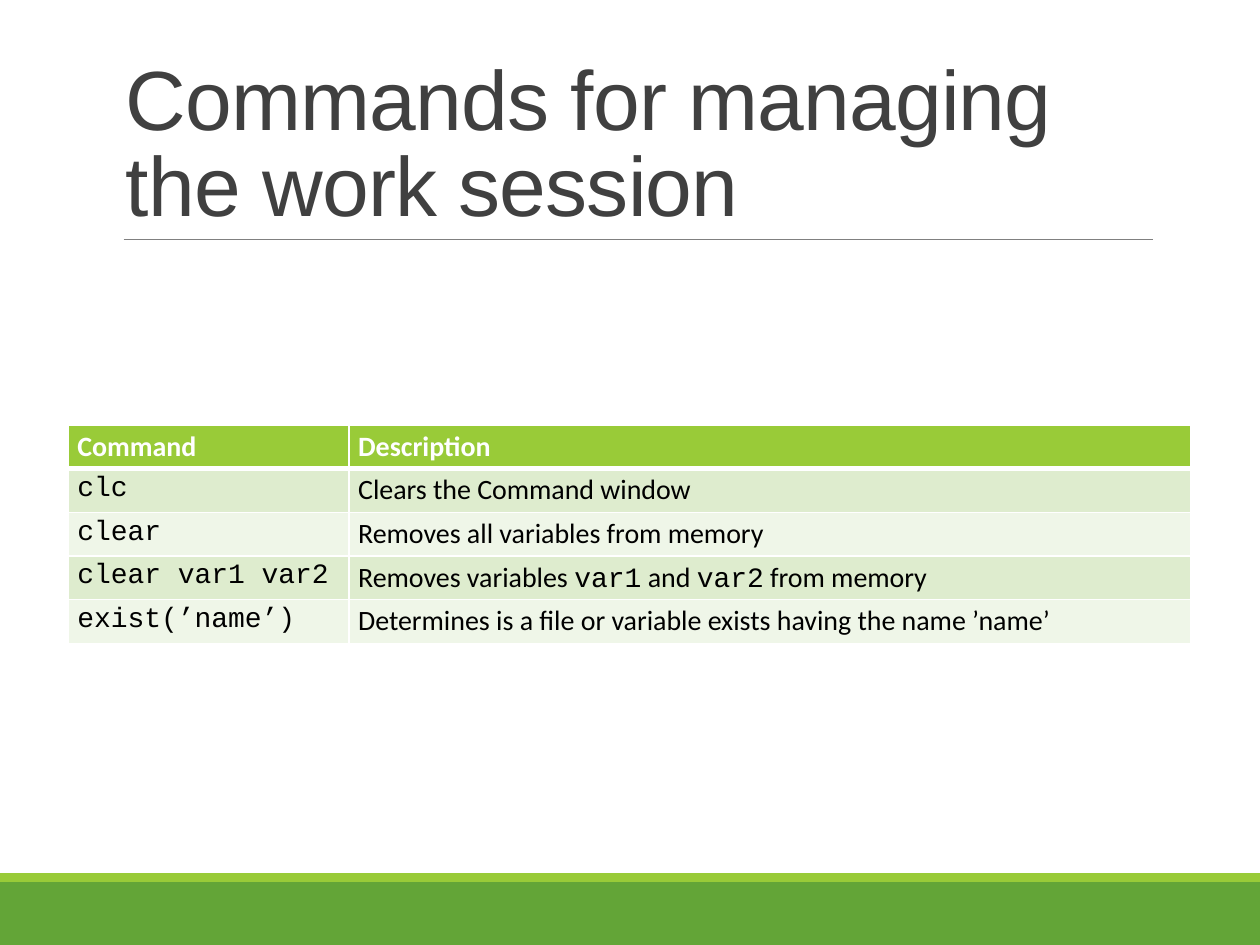
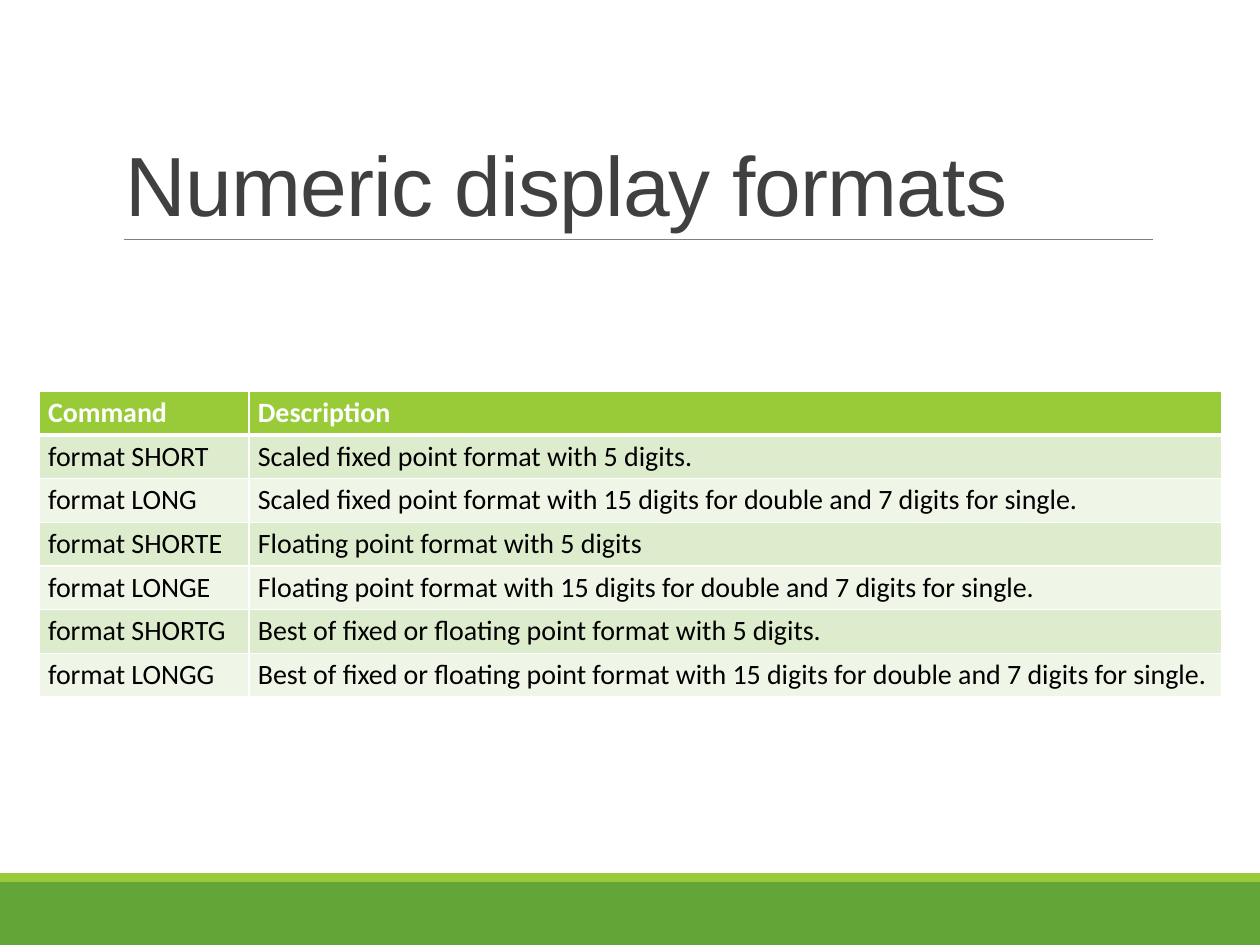
from dataclasses import dataclass

from lxml import etree
from pptx import Presentation
from pptx.dml.color import RGBColor
from pptx.enum.shapes import MSO_CONNECTOR, MSO_SHAPE
from pptx.enum.text import MSO_ANCHOR
from pptx.oxml.ns import qn
from pptx.util import Cm, Pt

RECTANGLE = MSO_SHAPE.RECTANGLE
STRAIGHT = MSO_CONNECTOR.STRAIGHT
TOP = MSO_ANCHOR.TOP
BOTTOM = MSO_ANCHOR.BOTTOM


@dataclass(frozen=True)
class Theme:
    band: str = "63A537"
    accent: str = "99CB38"
    rule: str = "808080"
    title: str = "404040"
    text: str = "000000"
    white: str = "FFFFFF"
    row_fills: tuple = ("DEECCE", "EFF6E8")
    title_font: str = "Arial"
    body_font: str = "Calibri"
    code_font: str = "Courier New"
    title_size: float = 48
    body_size: float = 16
    rule_width: float = 0.5
    border_width: float = 1
    header_border_width: float = 3


THEME = Theme()
SLIDE_WIDTH, SLIDE_HEIGHT = 25.4, 19.05
FOOTER_BOX = (0, 17.6, SLIDE_WIDTH, 1.45)
TITLE_BOX = (2.29, 0.79, 20.95, 4.04)
ACCENT_HEIGHT = 0.18
RULE_INDENT = 0.2
ROW_HEIGHT = 0.88
CELL_MARGIN_X, CELL_MARGIN_Y = 0.18, 0.09
CODE_MARK = "`"
HEADINGS = ("Command", "Description")

SLIDES = (
    {
        "title": "Commands for managing the work session",
        "table_at": (1.38, 8.57),
        "column_widths": (5.66, 16.97),
        "rows": (
            ("`clc`", "Clears the Command window"),
            ("`clear`", "Removes all variables from memory"),
            ("`clear var1 var2`", "Removes variables `var1` and `var2` from memory"),
            ("`exist(’name’)`",
             "Determines is a file or variable exists having the name ’name’"),
        ),
    },
    {
        "title": "Numeric display formats",
        "table_at": (0.79, 7.89),
        "column_widths": (4.23, 19.61),
        "rows": (
            ("format SHORT", "Scaled fixed point format with 5 digits."),
            ("format LONG",
             "Scaled fixed point format with 15 digits for double and 7 digits for single."),
            ("format SHORTE", "Floating point format with 5 digits"),
            ("format LONGE",
             "Floating point format with 15 digits for double and 7 digits for single."),
            ("format SHORTG", "Best of fixed or floating point format with 5 digits."),
            ("format LONGG",
             "Best of fixed or floating point format with 15 digits for double "
             "and 7 digits for single."),
        ),
    },
)


def style_run(run, font_name, size, color, bold=False):
    run.font.name = font_name
    run.font.size = Pt(size)
    run.font.color.rgb = RGBColor.from_string(color)
    run.font.bold = bold


def add_band(slide, box, color):
    shape = slide.shapes.add_shape(RECTANGLE, *map(Cm, box))
    shape.shadow.inherit = False
    shape.fill.solid()
    shape.fill.fore_color.rgb = RGBColor.from_string(color)
    shape.line.fill.background()


def add_footer(slide, box):
    left, top, width, height = box
    band_top = top + ACCENT_HEIGHT
    add_band(slide, (left, band_top, width, height - ACCENT_HEIGHT), THEME.band)
    add_band(slide, (left, top, width, ACCENT_HEIGHT), THEME.accent)


def add_title(slide, box, title):
    left, top, width, height = box
    bottom = Cm(top + height)
    rule = slide.shapes.add_connector(
        STRAIGHT, Cm(left + RULE_INDENT), bottom, Cm(left + width), bottom)
    rule.line.color.rgb = RGBColor.from_string(THEME.rule)
    rule.line.width = Pt(THEME.rule_width)
    etree.SubElement(rule._element.spPr, qn("a:effectLst"))

    text_frame = slide.shapes.add_textbox(*map(Cm, box)).text_frame
    text_frame.word_wrap = True
    text_frame.vertical_anchor = BOTTOM
    text_frame.text = title
    paragraph = text_frame.paragraphs[0]
    paragraph.line_spacing = 0.85
    run = paragraph.runs[0]
    style_run(run, THEME.title_font, THEME.title_size, THEME.title)
    run._r.get_or_add_rPr().set("spc", "-50")


def set_border(cell, side, width):
    border = etree.SubElement(
        cell._tc.get_or_add_tcPr(), qn(f"a:ln{side}"), w=str(Pt(width)))
    fill = etree.SubElement(border, qn("a:solidFill"))
    etree.SubElement(fill, qn("a:srgbClr"), val=THEME.white)


def fill_cell(cell, text, row_index):
    is_header = row_index == 0
    cell.margin_left = cell.margin_right = Cm(CELL_MARGIN_X)
    cell.margin_top = cell.margin_bottom = Cm(CELL_MARGIN_Y)
    cell.vertical_anchor = TOP
    heavy_side = {0: "B", 1: "T"}.get(row_index)
    for side in "LRTB":
        is_heavy = side == heavy_side
        set_border(cell, side,
                   THEME.header_border_width if is_heavy else THEME.border_width)
    cell.fill.solid()
    color = THEME.accent if is_header else THEME.row_fills[(row_index - 1) % 2]
    cell.fill.fore_color.rgb = RGBColor.from_string(color)

    paragraph = cell.text_frame.paragraphs[0]
    for index, part in enumerate(text.split(CODE_MARK)):
        if part:
            run = paragraph.add_run()
            run.text = part
            style_run(run, THEME.code_font if index % 2 else THEME.body_font,
                      THEME.body_size, THEME.white if is_header else THEME.text,
                      is_header)


def add_command_table(slide, position, column_widths, rows):
    left, top = position
    all_rows = (HEADINGS, *rows)
    table = slide.shapes.add_table(
        len(all_rows), len(column_widths), Cm(left), Cm(top),
        Cm(sum(column_widths)), Cm(ROW_HEIGHT * len(all_rows))).table
    for column, width in zip(table.columns, column_widths):
        column.width = Cm(width)
    for row_index, texts in enumerate(all_rows):
        table.rows[row_index].height = Cm(ROW_HEIGHT)
        for column_index, text in enumerate(texts):
            fill_cell(table.cell(row_index, column_index), text, row_index)


def add_table_slide(presentation, content):
    slide = presentation.slides.add_slide(presentation.slide_layouts[6])
    add_footer(slide, FOOTER_BOX)
    add_title(slide, TITLE_BOX, content["title"])
    add_command_table(slide, content["table_at"], content["column_widths"],
                      content["rows"])


def main():
    presentation = Presentation()
    presentation.slide_width = Cm(SLIDE_WIDTH)
    presentation.slide_height = Cm(SLIDE_HEIGHT)
    for content in SLIDES:
        add_table_slide(presentation, content)
    presentation.save("out.pptx")


if __name__ == "__main__":
    main()
